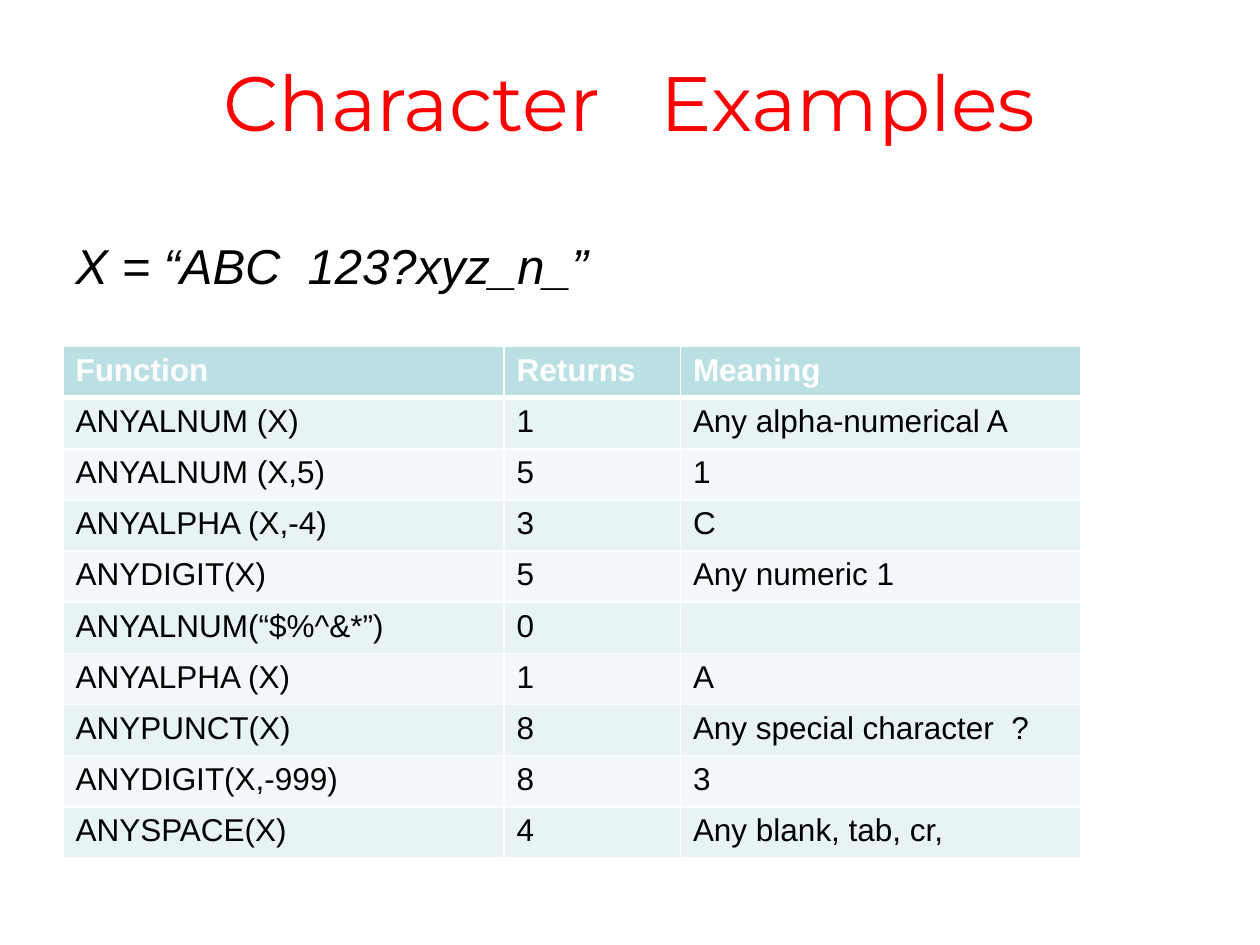
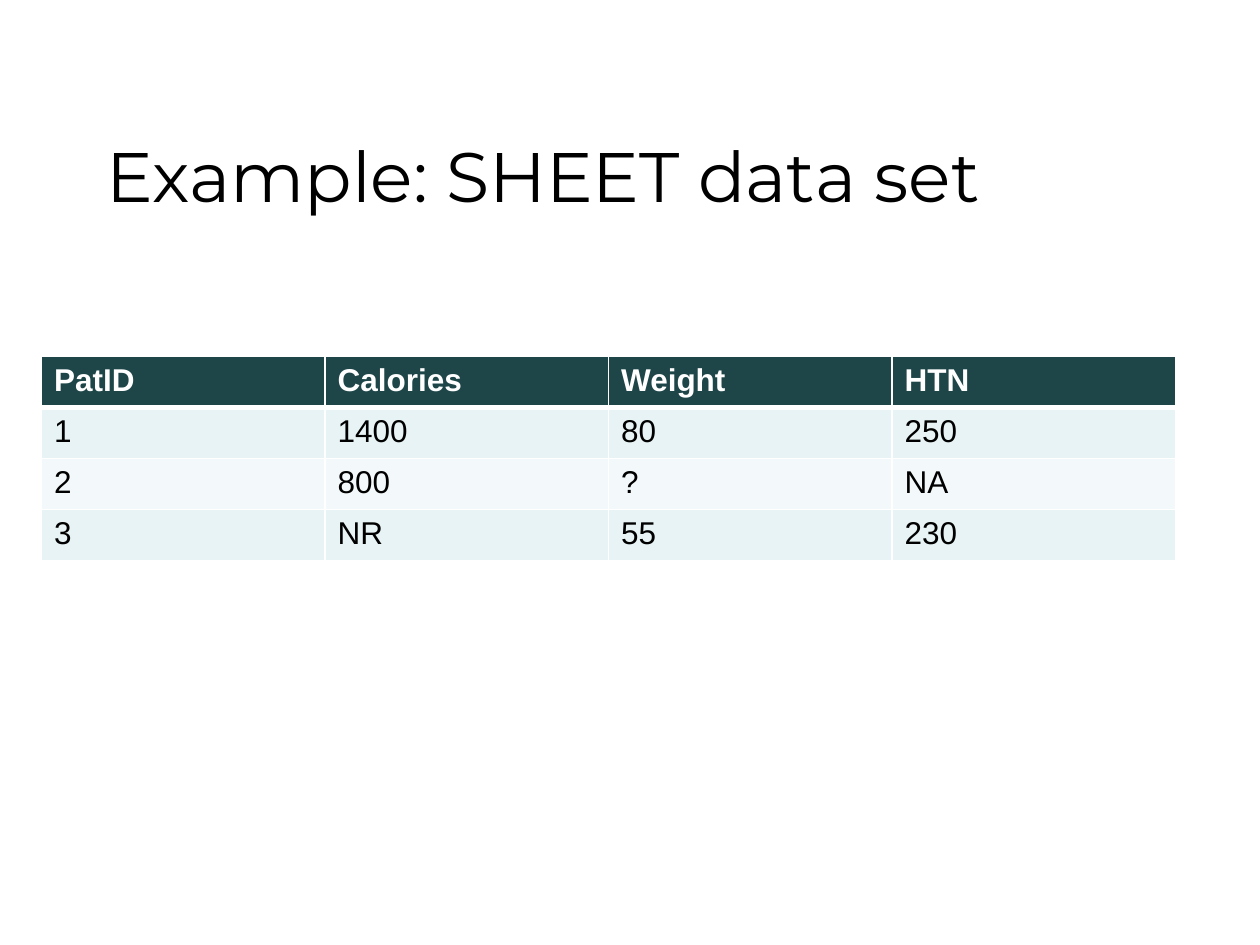
from lxml.etree import SubElement
from pptx import Presentation
from pptx.dml.color import RGBColor
from pptx.enum.text import MSO_ANCHOR, PP_ALIGN
from pptx.oxml.ns import qn
from pptx.util import Inches, Pt

RED = RGBColor(0xFF, 0x00, 0x00)
BLACK = RGBColor(0x00, 0x00, 0x00)
WHITE = RGBColor(0xFF, 0xFF, 0xFF)
AQUA = RGBColor(0xBB, 0xE0, 0xE3)
TEAL = RGBColor(0x1E, 0x46, 0x49)
BANDS = (RGBColor(0xF3, 0xF9, 0xFA), RGBColor(0xE7, 0xF3, 0xF4))


def write(frame, text, size=18, font="Arial", color=BLACK, bold=False,
          slant=False, align=PP_ALIGN.LEFT):
    """Put formatted text in a frame."""
    para = frame.paragraphs[0]
    para.alignment = align
    run = para.add_run()
    run.text = text
    face = run.font
    face.size, face.name = Pt(size), font
    face.bold, face.italic = bold, slant
    face.color.rgb = color


def edge(cell, side, width):
    """Draw one white cell border."""
    line = SubElement(cell._tc.get_or_add_tcPr(), qn(f"a:ln{side}"),
                      w=str(Pt(width)))
    fill = SubElement(line, qn("a:solidFill"))
    SubElement(fill, qn("a:srgbClr"), val=str(WHITE))


class Deck:
    """Hold the style and the current slide."""

    def __init__(self):
        """Start an empty deck."""
        self.file = Presentation()
        self.file.slide_width = Inches(10)
        self.file.slide_height = Inches(7.5)
        self.page = None

    def add(self):
        """Start a new slide."""
        self.page = self.file.slides.add_slide(self.file.slide_layouts[6])

    def text(self, words, left, top, width, height, wrap=True, **form):
        """Add a text box."""
        box = self.page.shapes.add_textbox(
            Inches(left), Inches(top), Inches(width), Inches(height))
        frame = box.text_frame
        frame.word_wrap = wrap
        frame.vertical_anchor = MSO_ANCHOR.MIDDLE
        write(frame, words, **form)

    def title(self, words, *place, **form):
        """Add a slide title."""
        self.text(words, *place, font="Montserrat", **form)

    def table(self, rows, left, top, height, widths, head):
        """Add a table with a header and banded rows."""
        grid = self.page.shapes.add_table(
            len(rows), len(widths), Inches(left), Inches(top),
            Inches(sum(widths)), Inches(height)).table
        for col, width in zip(grid.columns, widths):
            col.width = Inches(width)
        for r, row in enumerate(rows):
            for c, words in enumerate(row):
                cell = grid.cell(r, c)
                for side in "LRTB":
                    thick = (r, side) in ((0, "B"), (1, "T"))
                    edge(cell, side, 3 if thick else 1)
                cell.fill.solid()
                cell.fill.fore_color.rgb = BANDS[r % 2] if r else head
                if words:
                    write(cell.text_frame, words, bold=r == 0,
                          color=BLACK if r else WHITE)


CALLS = (
    ("Function", "Returns", "Meaning"),
    ("ANYALNUM (X)", "1", "Any alpha-numerical A"),
    ("ANYALNUM (X,5)", "5", "1"),
    ("ANYALPHA (X,-4)", "3", "C"),
    ("ANYDIGIT(X)", "5", "Any numeric 1"),
    ("ANYALNUM(“$%^&*”)", "0", ""),
    ("ANYALPHA (X)", "1", "A"),
    ("ANYPUNCT(X)", "8", "Any special character  ?"),
    ("ANYDIGIT(X,-999)", "8", "3"),
    ("ANYSPACE(X)", "4", "Any blank, tab, cr,"),
)
DATA = (
    ("PatID", "Calories", "Weight", "HTN"),
    ("1", "1400", "80", "250"),
    ("2", "800", "?", "NA"),
    ("3", "NR", "55", "230"),
)


def main():
    """Build and save the slides."""
    deck = Deck()
    deck.add()
    deck.title("Character   Examples", 0.5, 0.17, 9, 1.25,
               size=44, color=RED, align=PP_ALIGN.CENTER)
    deck.text("X = “ABC  123?xyz_n_”", 0.5, 1.82, 9, 0.57,
              size=28, slant=True)
    deck.table(CALLS, 0.5, 2.75, 4.06, (3.5, 1.4, 3.18), AQUA)

    deck.add()
    deck.table(DATA, 0.33, 2.83, 1.62, (2.25,) * 4, TEAL)
    deck.title("Example: SHEET data set", 0.75, 1, 7.96, 0.77,
               wrap=False, size=40)
    deck.file.save("out.pptx")


if __name__ == "__main__":
    main()
